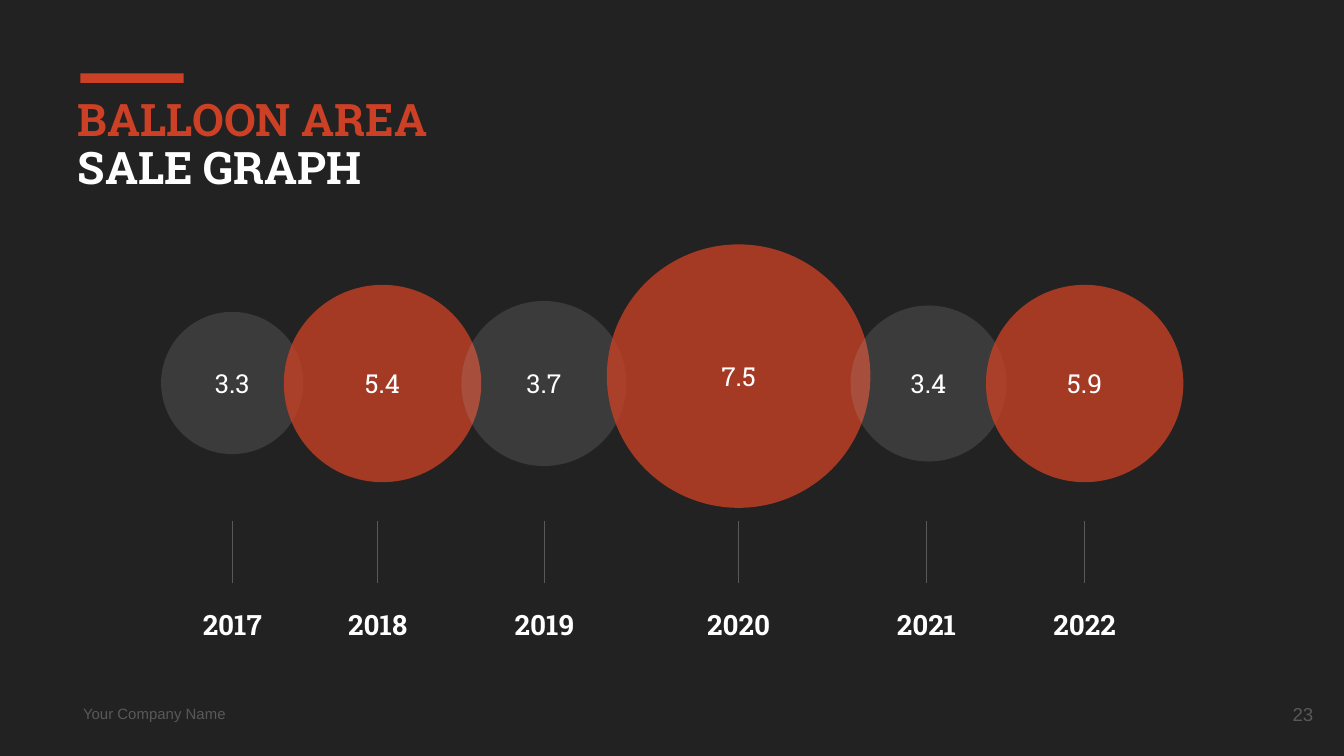
from lxml.etree import SubElement
from pptx import Presentation
from pptx.dml.color import RGBColor
from pptx.enum.shapes import MSO_CONNECTOR, MSO_SHAPE
from pptx.enum.text import MSO_ANCHOR, PP_ALIGN
from pptx.oxml.ns import qn
from pptx.util import Cm, Pt

BACKGROUND = RGBColor(0x22, 0x22, 0x22)
RED = RGBColor(0xCC, 0x41, 0x25)
LIGHT_GRAY = RGBColor(0xB7, 0xB7, 0xB7)
DARK_GRAY = RGBColor(0x59, 0x59, 0x59)
WHITE = RGBColor(0xFF, 0xFF, 0xFF)

SLAB, SANS = "Roboto Slab", "Arial"
INSET = Cm(0.25)
BALLOON_STYLES = [(LIGHT_GRAY, 17), (RED, 77)]  # colour, opacity in percent

# year, value, balloon centre x, centre y, diameter, tick x (cm)
SALES = [
    ("2017", "3.3", 4.39, 7.24, 2.69, 4.39),
    ("2018", "5.4", 7.23, 7.25, 3.73, 7.14),
    ("2019", "3.7", 10.28, 7.25, 3.12, 10.29),
    ("2020", "7.5", 13.96, 7.11, 4.98, 13.96),
    ("2021", "3.4", 17.55, 7.25, 2.95, 17.51),
    ("2022", "5.9", 20.5, 7.25, 3.73, 20.5),
]


class SlideBuilder:
    def __init__(self, deck):
        self.page = deck.slides.add_slide(deck.slide_layouts[5])
        self.page.background.fill.solid()
        self.page.background.fill.fore_color.rgb = BACKGROUND

    def fill_text(self, shape, lines, size, font=SLAB, bold=False,
                  align=PP_ALIGN.LEFT, anchor=MSO_ANCHOR.MIDDLE, spacing=1.0):
        """Fill a shape with one paragraph per (text, colour) pair."""
        frame = shape.text_frame
        frame_format = {
            "word_wrap": True, "vertical_anchor": anchor,
            "margin_left": INSET, "margin_right": INSET,
            "margin_top": INSET, "margin_bottom": INSET,
        }
        for name, value in frame_format.items():
            setattr(frame, name, value)
        for index, (text, color) in enumerate(lines):
            para = frame.add_paragraph() if index else frame.paragraphs[0]
            para.alignment = align
            para.line_spacing = spacing
            span = para.add_run()
            span.text = text
            for name, value in {"name": font, "size": Pt(size), "bold": bold}.items():
                setattr(span.font, name, value)
            span.font.color.rgb = color

    def title(self, left, top, width, height, lines):
        title = self.page.shapes.title
        place = {"left": left, "top": top, "width": width, "height": height}
        for name, value in place.items():
            setattr(title, name, Cm(value))
        self.fill_text(title, lines, 24, bold=True, anchor=MSO_ANCHOR.TOP, spacing=0.9)

    def text(self, left, top, width, height, text, color, size, **style):
        box = self.page.shapes.add_textbox(Cm(left), Cm(top), Cm(width), Cm(height))
        self.fill_text(box, [(text, color)], size, **style)

    def shape(self, kind, left, top, width, height, color):
        shape = self.page.shapes.add_shape(
            kind, Cm(left), Cm(top), Cm(width), Cm(height))
        shape.shadow.inherit = False
        shape.fill.solid()
        shape.fill.fore_color.rgb = color
        shape.line.fill.background()
        return shape

    def balloon(self, x, y, diameter, value, color, opacity):
        balloon = self.shape(MSO_SHAPE.OVAL, x - diameter / 2, y - diameter / 2,
                             diameter, diameter, color)
        solid_fill = balloon._element.spPr.find(qn("a:solidFill"))
        SubElement(solid_fill[0], qn("a:alpha"), val=str(opacity * 1000))
        self.fill_text(balloon, [(value, WHITE)], 14, align=PP_ALIGN.CENTER)

    def tick(self, x, top, bottom):
        line = self.page.shapes.add_connector(
            MSO_CONNECTOR.STRAIGHT, Cm(x), Cm(top), Cm(x), Cm(bottom))
        line.line.color.rgb = DARK_GRAY
        line.line.width = Pt(0.75)
        SubElement(line._element.spPr, qn("a:effectLst"))


def main():
    deck = Presentation()
    deck.slide_width, deck.slide_height = Cm(25.4), Cm(14.29)
    slide = SlideBuilder(deck)

    slide.shape(MSO_SHAPE.RECTANGLE, 1.52, 1.39, 1.95, 0.18, RED)
    slide.title(1.22, 1.6, 11.46, 2.95,
                [("BALLOON AREA", RED), ("SALE GRAPH", WHITE)])

    for index, (year, value, x, y, diameter, tick_x) in enumerate(SALES):
        slide.balloon(x, y, diameter, value, *BALLOON_STYLES[index % 2])
    for year, value, x, y, diameter, tick_x in SALES:
        slide.tick(tick_x, 9.85, 11.02)
        slide.text(tick_x - 1.32, 11.48, 2.64, 0.64, year, WHITE, 15,
                   bold=True, align=PP_ALIGN.CENTER)

    slide.text(1.32, 13.16, 4.24, 0.66, "Your Company Name", DARK_GRAY, 8, font=SANS)
    slide.text(23.55, 12.95, 1.52, 1.09, "23", DARK_GRAY, 10, font=SANS,
               align=PP_ALIGN.RIGHT)
    deck.save("out.pptx")


if __name__ == "__main__":
    main()
